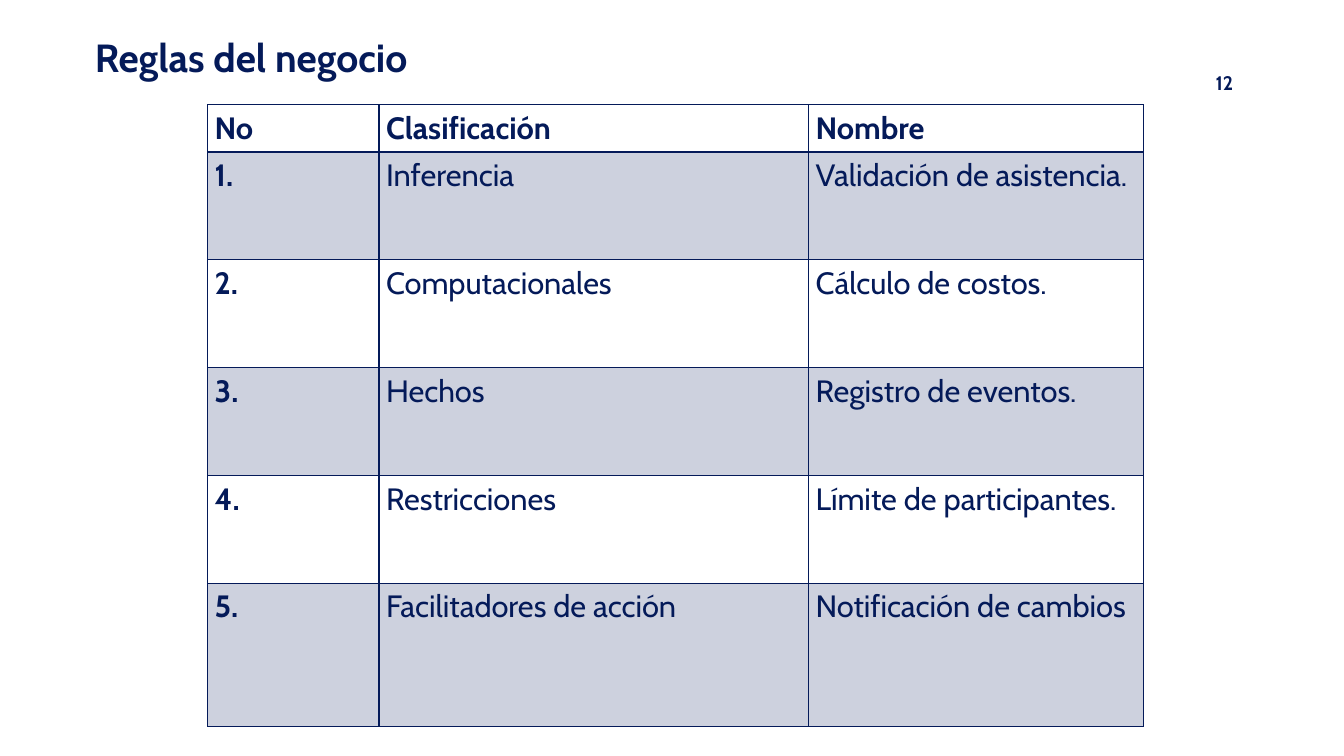
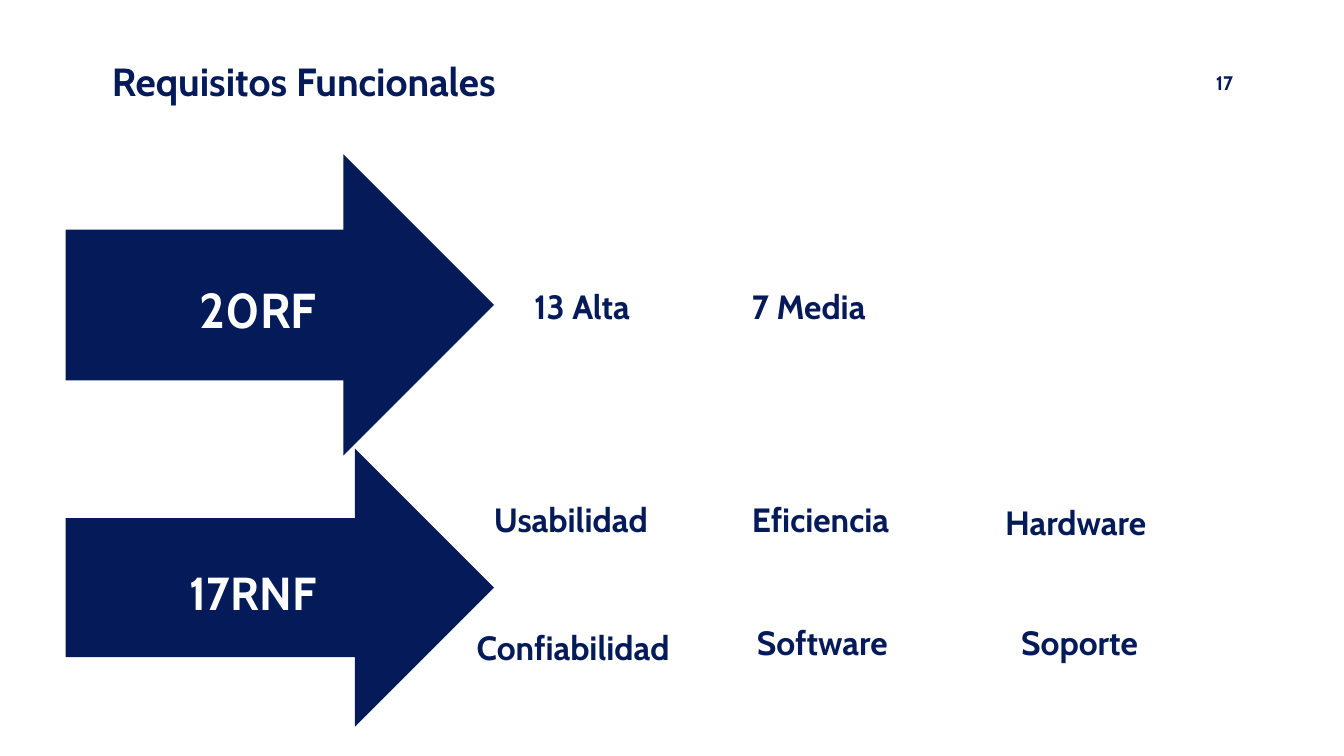
"""Build two slides: business rules and functional requirements."""
from pptx import Presentation
from pptx.dml.color import RGBColor
from pptx.enum.shapes import MSO_SHAPE as SHAPE
from pptx.enum.text import MSO_ANCHOR as ANCHOR, MSO_AUTO_SIZE as AUTOSIZE, PP_ALIGN as ALIGN
from pptx.oxml.ns import qn
from pptx.util import Inches, Pt
from lxml.etree import SubElement

FONT = "Cabin"
NAVY, TINT, WHITE = "041A59", "CDD1DE", "FFFFFF"
THIN, THICK = 0.96, 1.98

RULES = [
    ("No", "Clasificación", "Nombre"),
    ("1.", "Inferencia", "Validación de asistencia."),
    ("2.", "Computacionales", "Cálculo de costos."),
    ("3.", "Hechos", "Registro de eventos."),
    ("4.", "Restricciones", "Límite de participantes."),
    ("5.", "Facilitadores de acción", "Notificación de cambios"),
]
COL_WIDTHS = [1.7, 4.26, 3.32]
ROW_HEIGHTS = [0.46] + [1.07] * 4 + [1.42]

ARROWS = [
    ("20RF", 1.53, 2.99, 35, 0.32),
    ("17RNF", 4.45, 2.76, 33, 0.16),
]
LABELS = [
    ("13 Alta", 5.2, 2.56),
    ("7 Media", 7.36, 2.56),
    ("Usabilidad", 4.8, 4.67),
    ("Eficiencia", 7.36, 4.67),
    ("Hardware", 9.87, 4.7),
    ("Confiabilidad", 4.63, 5.94),
    ("Software", 7.41, 5.9),
    ("Soporte", 10.03, 5.9),
]


def rgb(value):
    """Turn a hex string into a colour."""
    return RGBColor.from_string(value)


def write(tf, text, size, color=NAVY, bold=True, align=ALIGN.LEFT, spacing=0.9):
    """Write one styled run into the first paragraph of a text frame."""
    p = tf.paragraphs[0]
    p.alignment = align
    p.line_spacing = spacing
    r = p.add_run()
    r.text = text
    r.font.name = FONT
    r.font.size = Pt(size)
    r.font.bold = bold
    r.font.color.rgb = rgb(color)
    return p


def add_label(slide, text, x, y, w=2.47, h=1, size=24, **style):
    """Add a wrapped text box with its text in the middle."""
    sp = slide.shapes.add_textbox(Inches(x), Inches(y), Inches(w), Inches(h))
    tf = sp.text_frame
    tf.word_wrap = True
    tf.vertical_anchor = ANCHOR.MIDDLE
    write(tf, text, size, **style)


def add_slide(prs, title, number, x, y):
    """Add a slide with its title and page number."""
    slide = prs.slides.add_slide(prs.slide_layouts[5])
    sp = slide.shapes.title
    sp.left, sp.top, sp.width, sp.height = map(Inches, (x, y, 8.24, 0.9))
    tf = sp.text_frame
    tf.word_wrap = True
    tf.auto_size = AUTOSIZE.NONE
    tf.vertical_anchor = ANCHOR.MIDDLE
    write(tf, title, 28)
    add_label(slide, number, 9.33, 0.64, w=3, h=0.4, size=14, align=ALIGN.RIGHT)
    return slide


def set_borders(cell, top, bottom):
    """Draw the four borders of a cell, widths in points."""
    props = cell._tc.get_or_add_tcPr()
    for side, width in (("L", THIN), ("R", THIN), ("T", top), ("B", bottom)):
        ln = SubElement(props, qn(f"a:ln{side}"), w=str(Pt(width)))
        fill = SubElement(ln, qn("a:solidFill"))
        SubElement(fill, qn("a:srgbClr"), val=NAVY)


def fill_cell(cell, text, row, col):
    """Format one cell by its place in the table."""
    cell.margin_left = cell.margin_right = Inches(0.07)
    cell.margin_top = cell.margin_bottom = Inches(0.05)
    set_borders(cell, THICK if row == 1 else THIN, THICK if row == 0 else THIN)
    if row % 2:
        cell.fill.solid()
        cell.fill.fore_color.rgb = rgb(TINT)
    else:
        cell.fill.background()
    p = write(cell.text_frame, text, 22, bold=row == 0 or col == 0,
              align=ALIGN.JUSTIFY, spacing=1.0)
    p.space_after = Pt(6)


def add_rules_table(slide, x, y):
    """Add the table of business rules."""
    frame = slide.shapes.add_table(
        len(RULES), len(COL_WIDTHS), Inches(x), Inches(y),
        Inches(sum(COL_WIDTHS)), Inches(sum(ROW_HEIGHTS)))
    table = frame.table
    table.horz_banding = False
    for column, width in zip(table.columns, COL_WIDTHS):
        column.width = Inches(width)
    for row, height in zip(table.rows, ROW_HEIGHTS):
        row.height = Inches(height)
    for i, texts in enumerate(RULES):
        for j, text in enumerate(texts):
            fill_cell(table.cell(i, j), text, i, j)


def add_arrow(slide, text, y, h, size, indent):
    """Add a navy block arrow with its caption."""
    sp = slide.shapes.add_shape(
        SHAPE.RIGHT_ARROW, Inches(0.65), Inches(y), Inches(4.25), Inches(h))
    sp.shadow.inherit = False
    sp.fill.solid()
    sp.fill.fore_color.rgb = rgb(NAVY)
    sp.line.fill.background()
    tf = sp.text_frame
    tf.word_wrap = True
    tf.vertical_anchor = ANCHOR.MIDDLE
    tf.margin_left, tf.margin_right = Inches(indent), 0
    tf.margin_top, tf.margin_bottom = Inches(0.15), 0
    write(tf, text, size, color=WHITE, align=ALIGN.CENTER)


def main():
    """Build and save the presentation."""
    prs = Presentation()
    prs.slide_width, prs.slide_height = Inches(13.33), Inches(7.5)

    rules = add_slide(prs, "Reglas del negocio", "12", 0.84, 0.14)
    add_rules_table(rules, 2.06, 1.04)

    requirements = add_slide(prs, "Requisitos Funcionales", "17", 1.01, 0.38)
    for arrow in ARROWS:
        add_arrow(requirements, *arrow)
    for label in LABELS:
        add_label(requirements, *label)

    prs.save("out.pptx")


if __name__ == "__main__":
    main()
